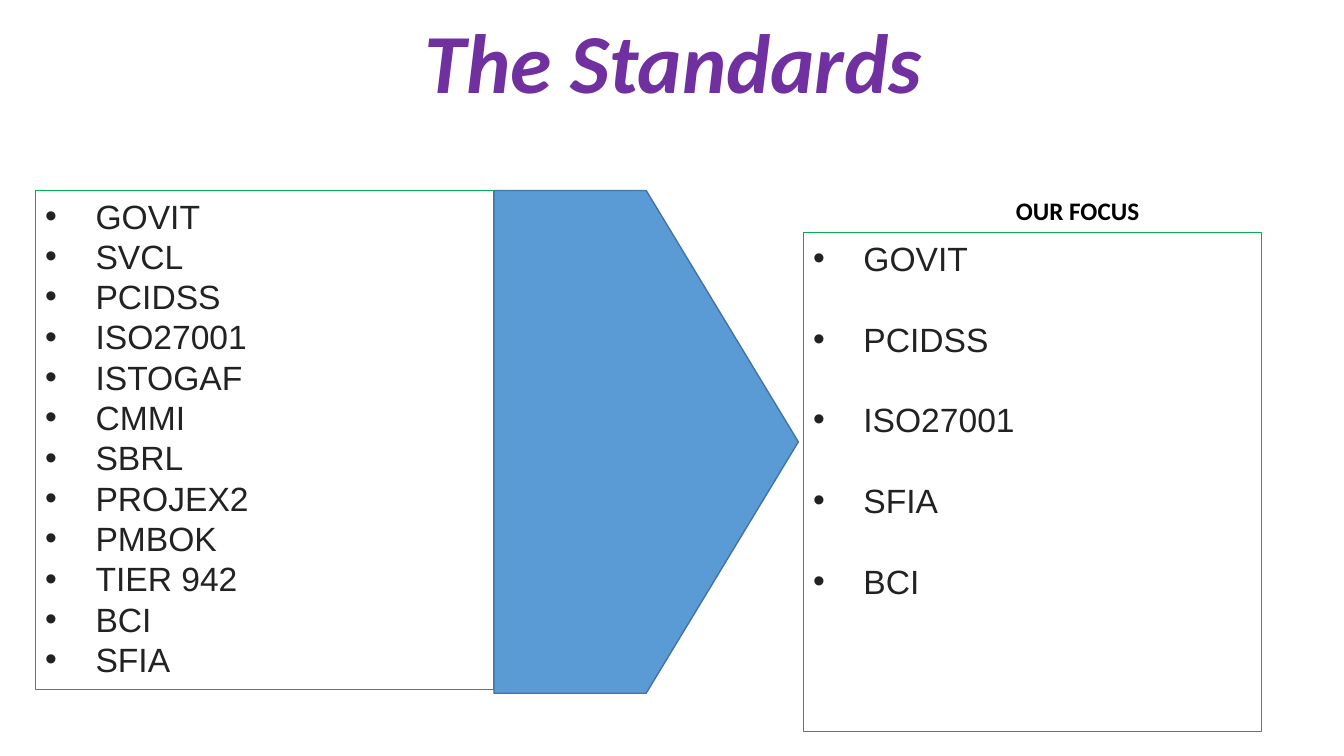
from dataclasses import dataclass
from pptx import Presentation
from pptx.dml.color import RGBColor as RGB
from pptx.enum.shapes import MSO_SHAPE as Shape
from pptx.enum.text import MSO_ANCHOR as Anchor, MSO_AUTO_SIZE as AutoSize, PP_ALIGN as Align
from pptx.oxml.ns import qn
from pptx.util import Cm, Pt
from lxml.etree import SubElement

TITLE = "The Standards"
FOCUS_LABEL = "OUR FOCUS"
STANDARDS = ["GOVIT", "SVCL", "PCIDSS", "ISO27001", "ISTOGAF", "CMMI",
             "SBRL", "PROJEX2", "PMBOK", "TIER 942", "BCI", "SFIA"]
FOCUS = ["GOVIT", "PCIDSS", "ISO27001", "SFIA", "BCI"]


@dataclass(frozen=True)
class Theme:
    title: RGB = RGB(0x70, 0x30, 0xA0)
    label: RGB = RGB(0, 0, 0)
    item: RGB = RGB(0x22, 0x22, 0x22)
    frame: RGB = RGB(0x00, 0xB0, 0x50)
    arrow: RGB = RGB(0x5B, 0x9B, 0xD5)
    arrow_edge: RGB = RGB(0x43, 0x73, 0x9E)
    heading_font: str = "Calibri"
    item_font: str = "Arial"
    title_size: Pt = Pt(60)
    item_size: Pt = Pt(24)
    label_size: Pt = Pt(18)
    item_pitch: Pt = Pt(28.8)


THEME = Theme()
MARGIN, TOP = Cm(0.89), Cm(4.8)
BOX_W, BOX_H = Cm(11.56), Cm(12.57)
ARROW_W, ARROW_H = Cm(7.67), Cm(12.67)
FOCUS_LEFT, FOCUS_TOP = Cm(20.24), Cm(5.87)
INDENT = Cm(1.27)


def style(p, name, size, color, bold=False, italic=False):
    for r in p.runs:
        f = r.font
        f.name, f.size, f.bold, f.italic = name, size, bold, italic
        f.color.rgb = color


def add_bullet(p):
    pPr = p._p.get_or_add_pPr()
    pPr.set("marL", str(INDENT))
    pPr.set("indent", str(-INDENT))
    SubElement(pPr, qn("a:buFont")).set("typeface", THEME.item_font)
    SubElement(pPr, qn("a:buChar")).set("char", "•")


def add_panel(s, kind, left, top, width, height, line, line_width, fill=None):
    sp = s.shapes.add_shape(kind, left, top, width, height)
    sp.shadow.inherit = False
    sp.line.color.rgb, sp.line.width = line, line_width
    if fill is None:
        sp.fill.background()
    else:
        sp.fill.solid()
        sp.fill.fore_color.rgb = fill
    return sp


def add_list(s, items, left, top, gap=Pt(0)):
    sp = add_panel(s, Shape.RECTANGLE, left, top, BOX_W, BOX_H, THEME.frame, Pt(0.75))
    tf = sp.text_frame
    tf.word_wrap, tf.vertical_anchor = True, Anchor.TOP
    for i, item in enumerate(items):
        p = tf.add_paragraph() if i else tf.paragraphs[0]
        p.text, p.alignment = item, Align.LEFT
        p.line_spacing = THEME.item_pitch
        p.space_before = gap if i else Pt(0)
        add_bullet(p)
        style(p, THEME.item_font, THEME.item_size, THEME.item)


def add_title(s):
    sp = s.shapes.title
    sp.left, sp.top, sp.width, sp.height = MARGIN, MARGIN, Cm(32.16), Cm(1.57)
    tf = sp.text_frame
    tf.text = TITLE
    tf.auto_size, tf.vertical_anchor = AutoSize.NONE, Anchor.MIDDLE
    p = tf.paragraphs[0]
    p.alignment, p.line_spacing = Align.CENTER, 0.9
    style(p, THEME.heading_font, THEME.title_size, THEME.title, bold=True, italic=True)


def add_focus_label(s):
    tf = s.shapes.add_textbox(Cm(25.35), TOP, Cm(3.66), Cm(1.02)).text_frame
    tf.word_wrap = False
    tf.text = FOCUS_LABEL
    style(tf.paragraphs[0], THEME.heading_font, THEME.label_size, THEME.label, bold=True)


def main():
    prs = Presentation()
    prs.slide_width, prs.slide_height = Cm(33.87), Cm(19.05)
    s = prs.slides.add_slide(prs.slide_layouts[5])
    add_title(s)
    add_list(s, STANDARDS, MARGIN, TOP)
    add_list(s, FOCUS, FOCUS_LEFT, FOCUS_TOP, gap=THEME.item_pitch)
    add_panel(s, Shape.PENTAGON, MARGIN + BOX_W, TOP, ARROW_W, ARROW_H,
              THEME.arrow_edge, Pt(1), THEME.arrow)
    add_focus_label(s)
    prs.save("out.pptx")


if __name__ == "__main__":
    main()
